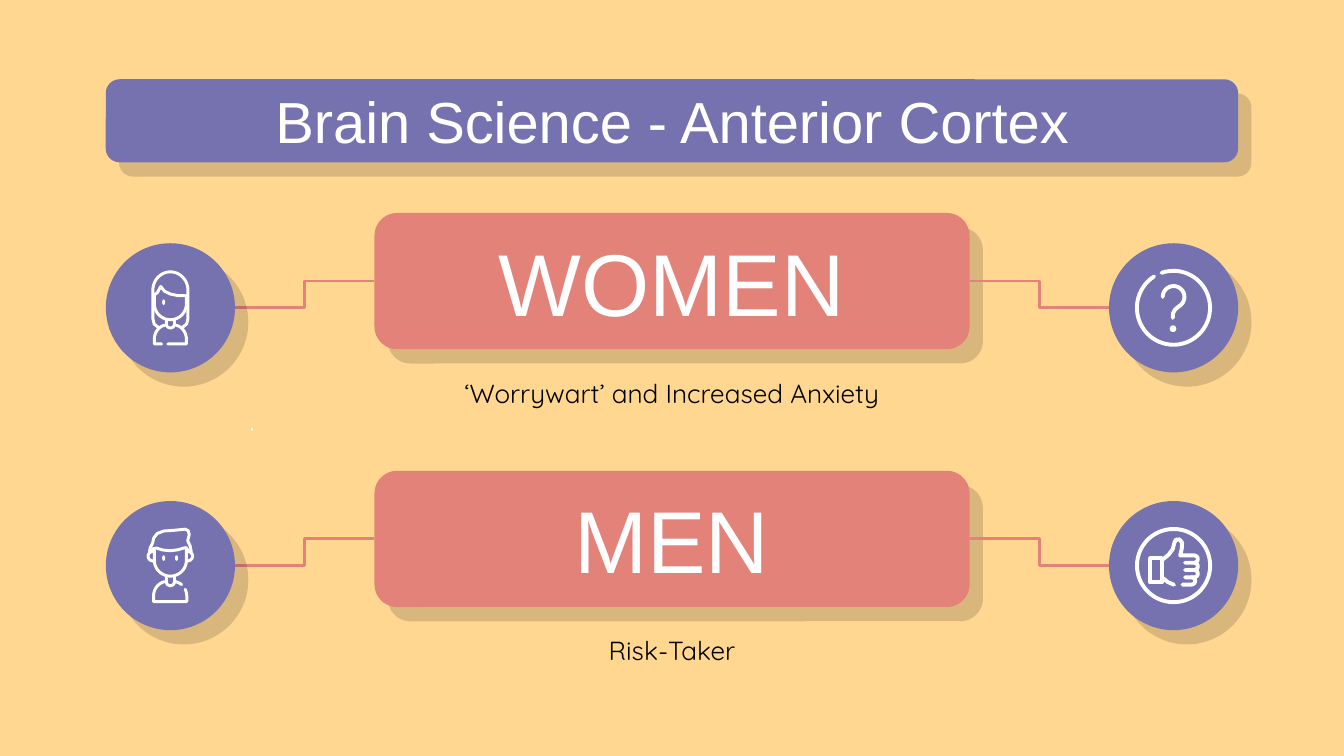
import dataclasses
import math

import lxml.etree
import pptx
import pptx.dml.color
import pptx.enum.shapes
import pptx.enum.text
import pptx.oxml.ns
import pptx.util

Pt = pptx.util.Pt
qn = pptx.oxml.ns.qn
MSO_SHAPE = pptx.enum.shapes.MSO_SHAPE


@dataclasses.dataclass(frozen=True)
class Theme:
    background: str = "FFD791"
    purple: str = "7671AF"
    coral: str = "E28279"
    white: str = "FFFFFF"
    black: str = "000000"
    heading_font: str = "Arial"
    body_font: str = "Quicksand"
    title_size: float = 31
    label_size: float = 47
    caption_size: float = 14
    connector_width: float = 1.5
    thin_stroke: float = 1.6
    thick_stroke: float = 2.1


def color(value):
    return pptx.dml.color.RGBColor.from_string(value)


def arc(x, y, radius_x, radius_y, start, end):
    steps = max(8, round(abs(end - start) / 6))
    angles = [math.radians(start + (end - start) * i / steps) for i in range(steps + 1)]
    return [(x + radius_x * math.cos(a), y + radius_y * math.sin(a)) for a in angles]


class SlideBuilder:
    def __init__(self, slide, theme):
        self.slide = slide
        self.theme = theme
        slide.background.fill.solid()
        slide.background.fill.fore_color.rgb = color(theme.background)

    def solid(self, kind, box, fill):
        shape = self.slide.shapes.add_shape(kind, *map(Pt, box))
        shape.shadow.inherit = False
        shape.fill.solid()
        shape.fill.fore_color.rgb = color(fill)
        shape.line.fill.background()
        return shape

    def raised(self, kind, box, fill):
        shape = self.solid(kind, box, fill)
        effects = shape.element.spPr.find(qn("a:effectLst"))
        shadow = lxml.etree.SubElement(
            effects, qn("a:outerShdw"), dist=str(Pt(10.5)), dir=str(47 * 60000),
            algn="bl", rotWithShape="0")
        shade = lxml.etree.SubElement(shadow, qn("a:srgbClr"), val=self.theme.black)
        lxml.etree.SubElement(shade, qn("a:alpha"), val="14000")

    def connector(self, start, end):
        connector = self.slide.shapes.add_connector(
            pptx.enum.shapes.MSO_CONNECTOR.ELBOW, *map(Pt, start + end))
        connector.line.color.rgb = color(self.theme.coral)
        connector.line.width = Pt(self.theme.connector_width)
        lxml.etree.SubElement(connector.element.spPr, qn("a:effectLst"))

    def placeholder(self, index, box, text, font, size, ink, anchor):
        shape = self.slide.placeholders[index]
        shape.left, shape.top, shape.width, shape.height = map(Pt, box)
        shape.element.getparent().append(shape.element)
        frame = shape.text_frame
        frame.word_wrap = True
        frame.auto_size = pptx.enum.text.MSO_AUTO_SIZE.NONE
        frame.vertical_anchor = anchor
        frame.margin_left = frame.margin_right = Pt(7.2)
        frame.margin_top = frame.margin_bottom = Pt(7.2)
        paragraph = frame.paragraphs[0]
        paragraph.alignment = pptx.enum.text.PP_ALIGN.CENTER
        paragraph.line_spacing = 1.0
        paragraph.space_before = paragraph.space_after = Pt(0)
        run = paragraph.add_run()
        run.text = text
        run.font.name = font
        run.font.size = Pt(size)
        run.font.bold = False
        run.font.color.rgb = color(ink)
        properties = paragraph._p.get_or_add_pPr()
        properties.set("marL", "0")
        properties.set("indent", "0")
        lxml.etree.SubElement(properties, qn("a:buNone"))

    def heading(self, index, box, text, size):
        self.placeholder(index, box, text, self.theme.heading_font, size,
                         self.theme.white, pptx.enum.text.MSO_ANCHOR.MIDDLE)

    def caption(self, index, box, text):
        self.placeholder(index, box, text, self.theme.body_font, self.theme.caption_size,
                         self.theme.black, pptx.enum.text.MSO_ANCHOR.TOP)

    def stroke(self, center, points, width, close=False):
        vertices = [(Pt(center[0] + x), Pt(center[1] + y)) for x, y in points]
        builder = self.slide.shapes.build_freeform(*vertices[0], scale=1.0)
        builder.add_line_segments(vertices[1:], close=close)
        shape = builder.convert_to_shape()
        shape.shadow.inherit = False
        shape.fill.background()
        shape.line.color.rgb = color(self.theme.white)
        shape.line.width = Pt(width)
        outline = shape.element.spPr.get_or_add_ln()
        outline.set("cap", "rnd")
        lxml.etree.SubElement(outline, qn("a:round"))

    def dot(self, center, x, y, width, height):
        box = (center[0] + x - width / 2, center[1] + y - height / 2, width, height)
        self.solid(MSO_SHAPE.OVAL, box, self.theme.white)

    def person(self, center, strokes, eyes):
        neck = [(-2.2, 6.5)] + arc(0, 8.6, 2.2, 2.2, 180, 0) + [(2.2, 6.5)]
        for points in [neck] + strokes:
            self.stroke(center, points, self.theme.thin_stroke)
        for x, y in eyes:
            self.dot(center, x, y, 1.6, 3)

    def woman(self, center):
        hair = ([(-6.5, 10.5), (-8.7, 8.7), (-9.4, 5.8)]
                + arc(0, -9.4, 9.4, 9.8, 180, 360)
                + [(9.4, 5.8), (8.7, 8.7), (6.5, 10.5)])
        fringe = [(-9, -6.6), (-7, -8), (-5.2, -11.4), (-3.2, -8.9), (0, -7.3),
                  (4, -6.5), (9, -6.4)]
        face = [(-8.6, -6.6)] + arc(0, -2.2, 8.6, 8.6, 180, 0) + [(8.6, -6.4)]
        left = [(-4.7, 19.4), (-8.6, 19.4)] + arc(-1.6, 17, 7, 7.8, 180, 258)
        right = [(-1.4, 19.4), (8.6, 19.4)] + arc(1.6, 17, 7, 7.8, 0, -78)
        self.person(center, [hair, fringe, face, left, right], [(-3.6, -3)])

    def man(self, center):
        hair = [(-11.2, -7.4), (-10.8, -9.5), (-9.5, -12), (-8.9, -14.8), (-7, -17.2),
                (-3.5, -18.5), (2, -18.9), (8, -19.5), (9.6, -18.6), (10.1, -16.5),
                (9.3, -13.3), (10.6, -10.5), (11.2, -7.4)]
        hairline = [(-10, -7.4), (-9.2, -9), (-7.4, -9.3), (-4, -8.3), (0, -7.9),
                    (4, -8.4), (7, -9.3), (8.4, -9.6), (10, -7.4)]
        face = [(-8.6, -8.6)] + arc(0, -2.9, 8.6, 8.6, 180, 0) + [(8.6, -8.6)]
        ears = [arc(side * 9.4, -5, side * 2.5, 2.5, -90, 90) for side in (-1, 1)]
        body = (arc(-1.6, 16.5, 7.4, 8, 258, 180) + [(-9, 19.4), (8.8, 19.4)]
                + arc(1.4, 16.5, 7.4, 8, 0, -28))
        collar = [(2.8, 8.6), (4.6, 9.3), (6, 10.2)]
        self.person(center, [hair, hairline, face, body, collar] + ears,
                    [(-3.6, -4), (3.3, -4)])

    def question(self, center):
        ring = arc(0, 0, 19.6, 19.8, 251, 598)
        mark = arc(0, -5.8, 5.8, 5.8, 180, 420) + [(0.8, 1), (-0.3, 3), (-0.4, 5.4)]
        for points in (ring, mark):
            self.stroke(center, points, self.theme.thick_stroke)
        self.dot(center, -0.3, 11.2, 3.6, 3.6)

    def thumb(self, center):
        width = self.theme.thick_stroke
        pitch = 3.9
        cuff = [(-12.6, -4), (-6.2, -4), (-6.2, 9), (-12.6, 9)]
        hand = [(-5.6, -3.4), (-2.6, -5.8), (-0.4, -8.8), (0.4, -12), (1.2, -13.8),
                (3.2, -14), (4.6, -12.2), (4.4, -9), (3.6, -5.4), (11, -5.4)]
        palm = [(-5.6, 6.8), (-3, 8.9), (0.2, 10.3)]
        self.stroke(center, arc(0, 0, 19.6, 19.6, 0, 360), width, close=True)
        self.stroke(center, cuff, width, close=True)
        self.stroke(center, hand, width)
        self.stroke(center, palm, width)
        for finger, tip in enumerate((11, 11, 11, 9.6)):
            middle = -5.4 + pitch * (finger + 0.5)
            points = arc(tip, middle, 2, pitch / 2, -90, 90)
            self.stroke(center, points + [(tip - 4.8, middle + pitch / 2)], width)


def main():
    theme = Theme()
    presentation = pptx.Presentation()
    presentation.slide_width, presentation.slide_height = Pt(720), Pt(405)
    slide = presentation.slides.add_slide(presentation.slide_layouts[4])
    builder = SlideBuilder(slide, theme)

    title_box = (56.7, 42.5, 606.6, 44.5)
    builder.raised(MSO_SHAPE.ROUNDED_RECTANGLE, title_box, theme.purple)
    builder.heading(0, title_box, "Brain Science - Anterior Cortex", theme.title_size)

    card_left, card_width, card_height = 200.6, 318.8, 73
    disc_size, left_disc, right_disc = 69.2, 56.7, 594.1
    rows = [
        ("WOMEN", "‘Worrywart’ and Increased Anxiety", builder.woman, builder.question),
        ("MEN", "Risk-Taker", builder.man, builder.thumb),
    ]
    for row, (label, caption, left_icon, right_icon) in enumerate(rows):
        top = 114.1 + 138.1 * row
        card_middle, disc_middle = top + card_height / 2, top + 50.8
        builder.raised(MSO_SHAPE.ROUNDED_RECTANGLE,
                       (card_left, top, card_width, card_height), theme.coral)
        builder.connector((left_disc + disc_size, disc_middle), (card_left, card_middle))
        builder.connector((card_left + card_width, card_middle), (right_disc, disc_middle))
        builder.heading(1 + 2 * row, (235, top + 6.5, 250, 60), label, theme.label_size)
        builder.caption(2 + 2 * row, (card_left, top + 80.7, card_width, 30), caption)
        for left, icon in ((left_disc, left_icon), (right_disc, right_icon)):
            builder.raised(MSO_SHAPE.OVAL,
                           (left, disc_middle - disc_size / 2, disc_size, disc_size),
                           theme.purple)
            icon((left + disc_size / 2, disc_middle))

    builder.dot((135, 230), 0, 0, 0.8, 2)
    presentation.save("out.pptx")


if __name__ == "__main__":
    main()
